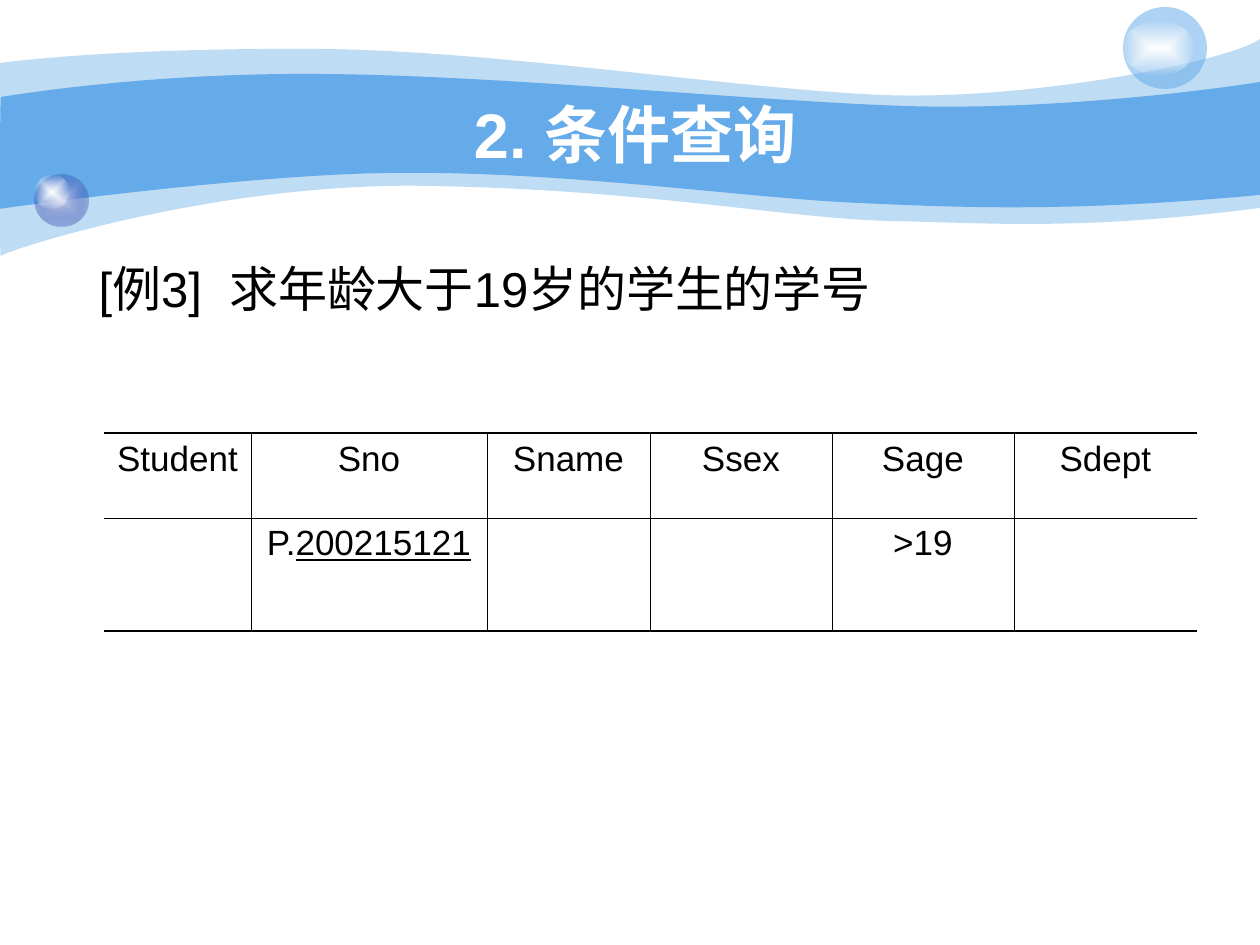
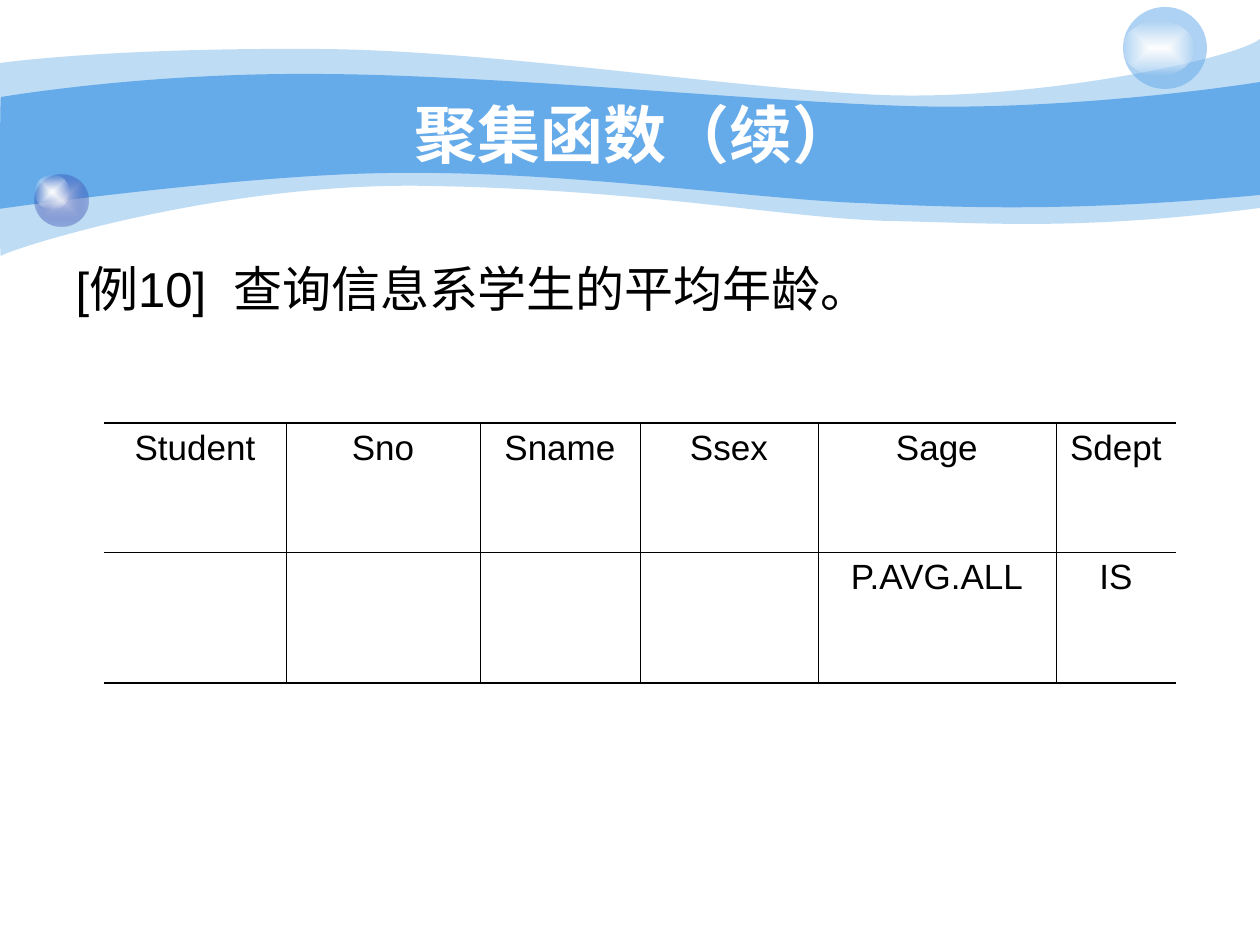
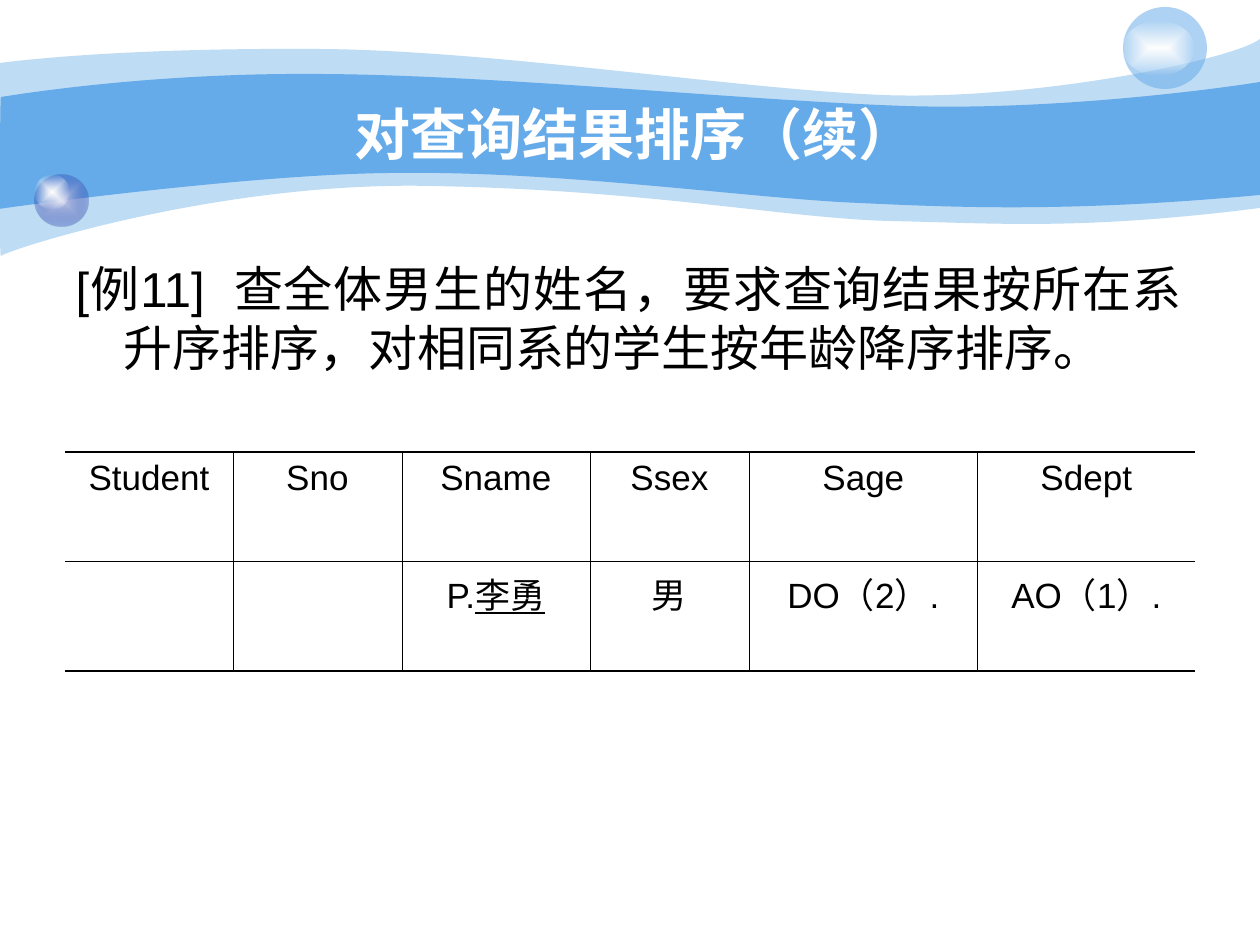
from lxml import etree
from pptx import Presentation
from pptx import util as u
from pptx.dml.color import RGBColor
from pptx.enum import shapes, text
from pptx.oxml import parse_xml
from pptx.oxml.ns import nsdecls, qn

COLORS = {"band": "65AAE9", "white": "FFFFFF", "ink": "000000",
          "ball_core": "C7CEE9", "ball_rim": "233DA9"}
FONT = "Arial"
EMU_PER_PX = 914400 / 126
NO_GRID_STYLE = "{2D5ABB26-0587-4C30-8999-92F81FD0307C}"
RULE_WIDTHS = {"outer": 1.08, "inner": 0.45}

# Each segment lists the points after the pen: one for a line, three for a curve.
PALE_BAND = [
    [(0, 63)],
    [(30, 59), (135, 48), (311, 49)], [(486, 49), (725, 88), (881, 95)],
    [(1036, 101), (1235, 59), (1260, 39)], [(1260, 208)],
    [(1079, 231), (992, 223), (888, 221)], [(784, 218), (649, 190), (432, 186)],
    [(217, 181), (5, 251), (1, 256)], [(-1, 262), (0, 95), (0, 63)],
]
STRONG_BAND = [
    [(1, 97)],
    [(3, 97), (139, 73), (312, 74)], [(486, 74), (750, 101), (905, 106)],
    [(1060, 111), (1230, 87), (1260, 82)], [(1260, 195)],
    [(1075, 212), (964, 208), (859, 203)], [(755, 199), (563, 171), (399, 173)],
    [(256, 173), (-3, 209), (-1, 209)], [(0, 209), (0, 97), (1, 97)],
]
TITLE_BOX = (126, 94, 1018, 78)
BODY_CORNER = (63, 252)
BODY_INDENT = 48
HEADER = ["Student", "Sno", "Sname", "Ssex", "Sage", "Sdept"]

# A tuple in a query row is a command followed by an underlined example value.
EXAMPLES = [
    {"title": "2. 条件查询", "title_size": 36,
     "label": "[例3]", "task": "求年龄大于19岁的学生的学号",
     "body_size": (1092, 171), "hanging": 25,
     "corner": (104, 433), "columns": [147, 236, 163, 182, 182, 183], "rows": [85, 113],
     "query": ["", ("P.", "200215121"), "", "", ">19", ""]},
    {"title": "聚集函数（续）", "title_size": 36,
     "label": "[例10]", "task": "查询信息系学生的平均年龄。",
     "body_size": (1103, 620), "hanging": BODY_INDENT,
     "corner": (104, 423), "columns": [182, 194, 160, 178, 238, 120], "rows": [129, 131],
     "query": ["", "", "", "", "P.AVG.ALL", "IS"]},
    {"title": "对查询结果排序（续）", "title_size": 32,
     "label": "[例11]", "task": "查全体男生的姓名，要求查询结果按所在系升序排序，对相同系的学生按年龄降序排序。",
     "body_size": (1132, 620), "hanging": BODY_INDENT,
     "corner": (65, 452), "columns": [168, 169, 188, 159, 229, 217], "rows": [109, 110],
     "query": ["", "", ("P.", "李勇"), "男", "DO（2）.", "AO（1）."]},
]


def px(length):
    return u.Emu(round(length * EMU_PER_PX))


def place(shape, left, top, width, height):
    shape.left, shape.top, shape.width, shape.height = map(px, (left, top, width, height))


def style_run(run, size, color="ink", bold=False):
    run.font.name, run.font.size, run.font.bold = FONT, u.Pt(size), bold
    run.font.color.rgb = RGBColor.from_string(COLORS[color])


def color_xml(color, alpha):
    return f'<a:srgbClr val="{COLORS[color]}"><a:alpha val="{alpha * 1000}"/></a:srgbClr>'


def fill_plain(shape, color, alpha=100):
    shape.shadow.inherit = False
    shape.line.fill.background()
    shape.fill.solid()
    shape.fill.fore_color.rgb = RGBColor.from_string(COLORS[color])
    solid = shape.element.spPr.find(qn("a:solidFill"))
    etree.SubElement(solid[0], qn("a:alpha")).set("val", str(alpha * 1000))


def fill_glow(shape, core, rim, rim_alpha):
    """Fill from a solid core at the centre to a fainter rim."""
    fill_plain(shape, core)
    solid = shape.element.spPr.find(qn("a:solidFill"))
    glow = parse_xml(
        f'<a:gradFill {nsdecls("a")} rotWithShape="1"><a:gsLst>'
        f'<a:gs pos="0">{color_xml(core, 100)}</a:gs>'
        f'<a:gs pos="100000">{color_xml(rim, rim_alpha)}</a:gs></a:gsLst>'
        '<a:path path="rect"><a:fillToRect l="50000" t="50000" r="50000" b="50000"/></a:path>'
        '</a:gradFill>')
    solid.getparent().replace(solid, glow)


def draw_band(slide, segments, alpha):
    """Draw through all points, then bend each three-point segment into a curve."""
    (start,), *rest = segments
    builder = slide.shapes.build_freeform(*map(px, start))
    builder.add_line_segments([(px(x), px(y)) for segment in rest for x, y in segment])
    band = builder.convert_to_shape()
    lines = iter(list(band.element.iter(qn("a:lnTo"))))
    for segment in rest:
        controls = [next(lines) for _ in segment]
        if len(controls) == 3:
            curve = controls[0]
            bend = etree.Element(qn("a:cubicBezTo"))
            curve.addprevious(bend)
            for line in controls:
                bend.append(line[0])
                line.getparent().remove(line)
    fill_plain(band, "band", alpha)


def draw_ball(slide, ball_box, shine_box):
    """Group a ball with its white shine and return the ball to be filled."""
    group = slide.shapes.add_group_shape()
    ball, shine = (group.shapes.add_shape(shapes.MSO_SHAPE.OVAL, *map(px, box))
                   for box in (ball_box, shine_box))
    fill_glow(shine, "white", "white", 0)
    return ball


def decorate_layout(layout, slide):
    """Draw the bands and balls on the slide, then move them to its layout."""
    for holder in list(layout.placeholders):
        if holder.placeholder_format.idx > 1:
            holder.element.getparent().remove(holder.element)
    place(layout.placeholders[0], *TITLE_BOX)
    draw_band(slide, PALE_BAND, 41)
    draw_band(slide, STRONG_BAND, 100)
    fill_glow(draw_ball(slide, (35, 175, 53, 51), (35, 175, 35, 34)),
              "ball_core", "ball_rim", 31)
    fill_plain(draw_ball(slide, (1123, 7, 84, 82), (1123, 21, 71, 54)), "band", 53)
    decorations = [shape for shape in slide.shapes if not shape.is_placeholder]
    for position, shape in enumerate(decorations, start=2):
        layout.shapes.element.insert(position, shape.element)


def write_title(slide, example):
    frame = slide.shapes.title.text_frame
    frame.text = example["title"]
    frame.auto_size = text.MSO_AUTO_SIZE.NONE
    frame.vertical_anchor = text.MSO_ANCHOR.MIDDLE
    frame.paragraphs[0].alignment = text.PP_ALIGN.CENTER
    style_run(frame.paragraphs[0].runs[0], example["title_size"], "white", bold=True)


def write_task(slide, example):
    body = slide.placeholders[1]
    place(body, *BODY_CORNER, *example["body_size"])
    frame = body.text_frame
    frame.auto_size = text.MSO_AUTO_SIZE.NONE
    paragraph = frame.paragraphs[0]
    properties = paragraph._p.get_or_add_pPr()
    properties.set("marL", str(px(BODY_INDENT)))
    properties.set("indent", str(-px(example["hanging"])))
    etree.SubElement(properties, qn("a:buNone"))
    paragraph.alignment = text.PP_ALIGN.JUSTIFY
    paragraph.space_before = u.Pt(0)
    for part in (example["label"], " ", example["task"]):
        run = paragraph.add_run()
        run.text = part
        style_run(run, 28)
        if part == " ":
            run.font._element.set("spc", "780")


def rule_cell(cell, row, column, last_row, last_column):
    """Rule a cell on all sides except the table's left and right edges."""
    sides = {"L": None if column == 0 else "inner",
             "R": None if column == last_column else "inner",
             "T": "outer" if row == 0 else "inner",
             "B": "outer" if row == last_row else "inner"}
    cell.fill.background()
    properties = cell._tc.get_or_add_tcPr()
    for position, (side, rule) in enumerate(sides.items()):
        width = u.Pt(RULE_WIDTHS[rule]) if rule else 0
        paint = f"<a:solidFill>{color_xml('ink', 100)}</a:solidFill>" if rule else "<a:noFill/>"
        properties.insert(position, parse_xml(
            f'<a:ln{side} {nsdecls("a")} w="{width}">{paint}</a:ln{side}>'))


def add_query_table(slide, example):
    columns, rows = example["columns"], example["rows"]
    size = (sum(columns), sum(rows))
    table = slide.shapes.add_table(
        len(rows), len(columns), *map(px, example["corner"] + size)).table
    table._tbl.tblPr.find(qn("a:tableStyleId")).text = NO_GRID_STYLE
    table.first_row = table.horz_banding = False
    for column, width in zip(table.columns, columns):
        column.width = px(width)
    for row, height in zip(table.rows, rows):
        row.height = px(height)
    for i, entries in enumerate((HEADER, example["query"])):
        for j, entry in enumerate(entries):
            cell = table.cell(i, j)
            rule_cell(cell, i, j, len(rows) - 1, len(columns) - 1)
            paragraph = cell.text_frame.paragraphs[0]
            paragraph.alignment = text.PP_ALIGN.CENTER
            parts = entry if isinstance(entry, tuple) else (entry,)
            for k, part in enumerate(filter(None, parts)):
                run = paragraph.add_run()
                run.text = part
                style_run(run, 20)
                run.font.underline = k == 1


def main():
    deck = Presentation()
    deck.slide_width, deck.slide_height = px(1260), px(945)
    layout = deck.slide_layouts[1]
    for number, example in enumerate(EXAMPLES):
        slide = deck.slides.add_slide(layout)
        if number == 0:
            decorate_layout(layout, slide)
        write_title(slide, example)
        write_task(slide, example)
        add_query_table(slide, example)
    deck.save("out.pptx")


if __name__ == "__main__":
    main()
